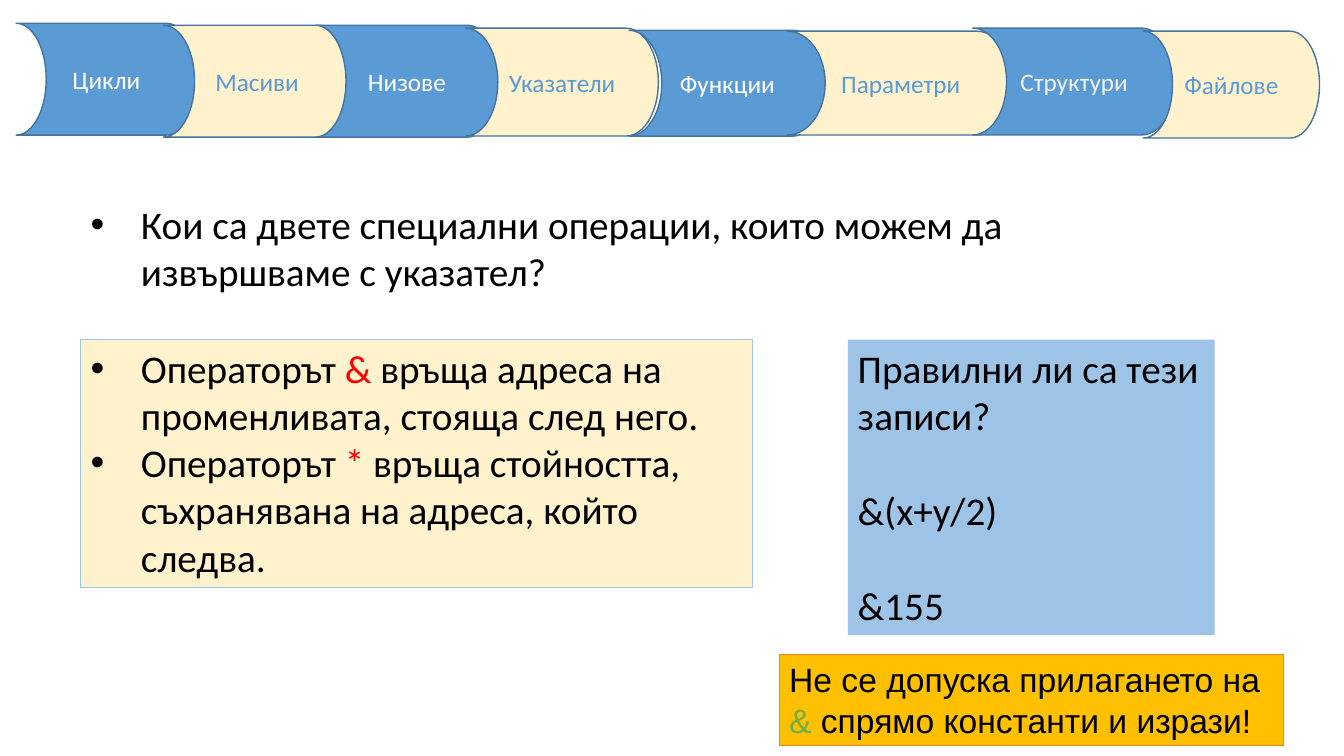
from pptx import Presentation
from pptx import util as u
from pptx.dml.color import RGBColor
from pptx.enum import shapes, text
from pptx.oxml.ns import qn
from lxml import etree

BLUE, CREAM, SKY, AMBER = "5B9BD5", "FFF2CC", "9DC3E6", "FFC000"
BLACK, WHITE, RED, GREEN = "000000", "FFFFFF", "FF0000", "70AD47"


def rgb(value):
    return RGBColor.from_string(value)


class Deck:
    """Holds the style and the current slide; places are percent of its size."""

    font, size, indent = "Calibri", 28, u.Inches(0.5)

    def __init__(self):
        self.prs = Presentation()
        self.prs.slide_width, self.prs.slide_height = u.Inches(13.33), u.Inches(7.5)
        self.s = self.prs.slides.add_slide(self.prs.slide_layouts[6])

    def place(self, at):
        sizes = (self.prs.slide_width, self.prs.slide_height) * 2
        return [int(size * share / 100) for size, share in zip(sizes, at)]

    def shape(self, kind, at, fill, line, width):
        sp = self.s.shapes.add_shape(kind, *self.place(at))
        sp.shadow.inherit = False
        sp.fill.solid()
        sp.fill.fore_color.rgb = rgb(fill)
        if line:
            sp.line.color.rgb = rgb(line)
            sp.line.width = u.Pt(width)
        else:
            sp.line.fill.background()
        return sp

    def run(self, p, words, color=BLACK, size=None, font=None):
        r = p.add_run()
        r.text = words
        r.font.size = u.Pt(size or self.size)
        r.font.name = font or self.font
        r.font.color.rgb = rgb(color)

    def bullet(self, p):
        pPr = p._p.get_or_add_pPr()
        pPr.set("marL", str(self.indent))
        pPr.set("indent", str(-self.indent))
        etree.SubElement(pPr, qn("a:buFont")).set("typeface", "Arial")
        etree.SubElement(pPr, qn("a:buChar")).set("char", "•")

    def tab(self, label, at, fill, color):
        sp = self.shape(shapes.MSO_SHAPE.FLOWCHART_STORED_DATA, at, fill, "43739E", 1)
        # Half a turn plus a vertical flip mirrors the tab and keeps its text upright
        sp.rotation = 180
        sp._element.spPr.find(qn("a:xfrm")).set("flipV", "1")
        tf = sp.text_frame
        tf.vertical_anchor = text.MSO_ANCHOR.MIDDLE
        p = tf.paragraphs[0]
        p.alignment = text.PP_ALIGN.CENTER
        self.run(p, label, color, 18)

    def box(self, at, paragraphs, fill=None, line=None, bullets=False, gap=0,
            size=None, font=None):
        if fill:
            sp = self.shape(shapes.MSO_SHAPE.RECTANGLE, at, fill, line, 0.75)
        else:
            sp = self.s.shapes.add_textbox(*self.place(at))
        tf = sp.text_frame
        tf.word_wrap = True
        tf.auto_size = text.MSO_AUTO_SIZE.SHAPE_TO_FIT_TEXT
        tf.vertical_anchor = text.MSO_ANCHOR.TOP
        for i, runs in enumerate(paragraphs):
            p = tf.add_paragraph() if i else tf.paragraphs[0]
            p.alignment = text.PP_ALIGN.LEFT
            if i and gap:
                p.space_before = u.Pt(gap)
            if bullets:
                self.bullet(p)
            for words, color in runs:
                self.run(p, words, color, size, font)


def main():
    deck = Deck()

    # Topic tabs: label, left, top, width, height
    topics = [
        ("Цикли", 1.2, 3.07, 13.43, 14.8),
        ("Масиви", 12.15, 3.33, 13.95, 14.8),
        ("Низове", 23.48, 3.33, 13.58, 14.8),
        ("Указатели", 34.65, 3.73, 14.33, 14.27),
        ("Функции", 46.8, 4, 14.63, 14),
        ("Параметри", 58.58, 4.13, 16.88, 13.73),
        ("Структури", 72.38, 3.73, 15.08, 14.13),
        ("Файлове", 85.05, 4.13, 13.13, 14.13),
    ]
    for i, (label, *at) in enumerate(topics):
        fill, color = (CREAM, BLUE) if i % 2 else (BLUE, WHITE)
        if label == "Структури":
            color = "F2F2F2"
        deck.tab(label, at, fill, color)

    # Question
    deck.box((6, 25.87, 82.43, 13.87), [
        [("Кои са двете специални операции, които можем да извършваме с указател?", BLACK)],
    ], bullets=True)

    # Answer: the two operators
    deck.box((6, 44.93, 50.03, 32.8), [
        [("Операторът ", BLACK), ("&", RED),
         (" връща адреса на променливата, стояща след него.", BLACK)],
        [("Операторът ", BLACK), ("*", RED),
         (" връща стойността, съхранявана на адреса, който следва.", BLACK)],
    ], CREAM, SKY, bullets=True)

    # Expressions to judge
    deck.box((63.08, 44.93, 27.3, 39.07), [
        [("Правилни ли са тези записи?", BLACK)],
        [("&(x+y/2)", BLACK)],
        [("&155", BLACK)],
    ], SKY, gap=34)

    # Rule
    deck.box((57.98, 86.53, 37.5, 12.13), [
        [("Не се допуска прилагането на ", BLACK), ("& ", GREEN),
         ("спрямо константи и изрази!", BLACK)],
    ], AMBER, "ED7D31", size=24, font="Arial")

    deck.prs.save("out.pptx")


if __name__ == "__main__":
    main()
